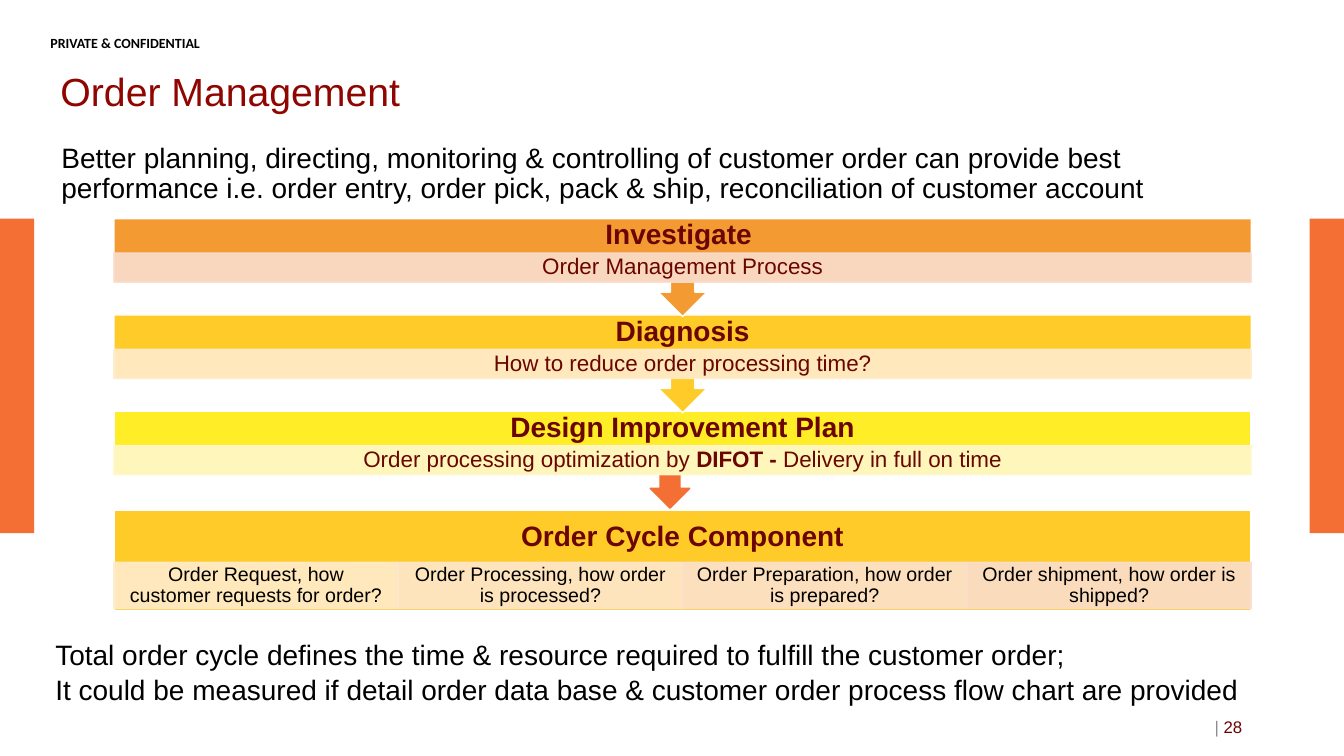
"""Build the Order Management process slide."""
from lxml import etree
from pptx import Presentation
from pptx.dml.color import RGBColor
from pptx.enum.shapes import MSO_SHAPE
from pptx.enum.text import MSO_ANCHOR, MSO_AUTO_SIZE, PP_ALIGN
from pptx.oxml.ns import qn
from pptx.util import Inches, Pt

RECTANGLE, DOWN_ARROW = MSO_SHAPE.RECTANGLE, MSO_SHAPE.DOWN_ARROW
ARROW_CALLOUT = MSO_SHAPE.UP_ARROW_CALLOUT
LEFT, CENTER, RIGHT = PP_ALIGN.LEFT, PP_ALIGN.CENTER, PP_ALIGN.RIGHT
TOP, MIDDLE = MSO_ANCHOR.TOP, MSO_ANCHOR.MIDDLE
NO_AUTOFIT = MSO_AUTO_SIZE.NONE

BLACK = RGBColor(0x00, 0x00, 0x00)
WHITE = RGBColor(0xFF, 0xFF, 0xFF)
GRAY = RGBColor(0x8C, 0x8C, 0x8C)
RED = RGBColor(0x8F, 0x05, 0x00)
MAROON = RGBColor(0x6A, 0x05, 0x00)
SIDE_ORANGE = RGBColor(0xF4, 0x6F, 0x33)
ARROW_ORANGE = RGBColor(0xF3, 0x6F, 0x33)
ORANGE = RGBColor(0xF3, 0x9A, 0x33)
AMBER = RGBColor(0xFF, 0xCB, 0x28)
YELLOW = RGBColor(0xFF, 0xED, 0x28)
PALE_ORANGE = RGBColor(0xFA, 0xDE, 0xCE)
PALE_PEACH = RGBColor(0xFC, 0xE2, 0xCD)
PALE_APRICOT = RGBColor(0xFE, 0xE7, 0xCD)
PALE_AMBER = RGBColor(0xFF, 0xEC, 0xCD)
PALE_YELLOW = RGBColor(0xFF, 0xF8, 0xCD)

FLOW_LEFT, FLOW_WIDTH = 1.13, 11.28

deck = Presentation()
deck.slide_width, deck.slide_height = Inches(13.33), Inches(7.5)
page = deck.slides.add_slide(deck.slide_layouts[5])


def add_block(kind, left, top, width, height, fill, line=None, opacity=100):
    block = page.shapes.add_shape(
        kind, Inches(left), Inches(top), Inches(width), Inches(height))
    block.shadow.inherit = False
    block.fill.solid()
    block.fill.fore_color.rgb = fill
    if line is None:
        block.line.fill.background()
    else:
        block.line.color.rgb = line
        block.line.width = Pt(1)
    if opacity < 100:
        for color in block._element.spPr.iter(qn("a:srgbClr")):
            etree.SubElement(color, qn("a:alpha"), val=str(opacity * 1000))
    return block


def add_text(text, left, top, width, height, size=20, color=BLACK, font="Arial",
             bold=False, align=LEFT, anchor=TOP, spacing=1.0,
             margins=(0.1, 0.05), wrap=True, box=None):
    """Write a string, or a list of (text, format) spans, into a box."""
    if box is None:
        box = page.shapes.add_textbox(0, 0, 0, 0)
    box.left, box.top = Inches(left), Inches(top)
    box.width, box.height = Inches(width), Inches(height)
    frame = box.text_frame
    frame.auto_size, frame.word_wrap = NO_AUTOFIT, wrap
    frame.vertical_anchor = anchor
    frame.margin_left = frame.margin_right = Inches(margins[0])
    frame.margin_top = frame.margin_bottom = Inches(margins[1])
    para = frame.paragraphs[0]
    para.alignment, para.line_spacing = align, spacing
    spans = [(text, {})] if isinstance(text, str) else text
    for words, style in spans:
        for number, line in enumerate(words.split("\n")):
            if number:
                para.add_line_break()
            span = para.add_run()
            span.text = line
            span.font.name, span.font.size = font, Pt(size)
            span.font.bold = style.get("bold", bold)
            span.font.color.rgb = style.get("color", color)


for left in (0, 12.99):
    add_block(RECTANGLE, left, 2.17, 0.34, 3.12, SIDE_ORANGE)
add_text("PRIVATE & CONFIDENTIAL", 0.5, 0.34, 2.53, 0.12, size=10,
         font="Calibri", bold=True, margins=(0, 0))
add_text("Order Management", 0.5, 0.58, 10.87, 0.71, size=28, color=RED,
         anchor=MIDDLE, spacing=0.9, box=page.shapes.title)
add_text("Better planning, directing, monitoring & controlling of customer order "
         "can provide best performance i.e. order entry, order pick, pack & ship, "
         "reconciliation of customer account",
         0.51, 1.38, 12.31, 0.79, spacing=0.9)

difot = [("Order processing optimization by ", {}), ("DIFOT - ", {"bold": True}),
         ("Delivery in full on time", {})]
steps = [
    ("Investigate ", "Order Management Process", ORANGE, PALE_ORANGE),
    ("Diagnosis", "How to reduce order processing time?", AMBER, PALE_AMBER),
    ("Design Improvement Plan", difot, YELLOW, PALE_YELLOW),
]
add_block(DOWN_ARROW, 6.45, 4.59, 0.39, 0.45, ARROW_ORANGE, ARROW_ORANGE)
for number, (heading, detail, fill, pale) in reversed(list(enumerate(steps))):
    top = 2.17 + number * 0.955
    is_last = number == len(steps) - 1
    kind, height = (RECTANGLE, 0.63) if is_last else (ARROW_CALLOUT, 0.97)
    step = add_block(kind, FLOW_LEFT, top, FLOW_WIDTH, height, fill, WHITE)
    step.rotation = 0 if is_last else 180
    add_text(heading, FLOW_LEFT, top, FLOW_WIDTH, 0.34, color=MAROON, bold=True,
             align=CENTER, anchor=MIDDLE, spacing=0.9, margins=(0.16, 0.16))
    add_block(RECTANGLE, FLOW_LEFT, top + 0.34, FLOW_WIDTH, 0.29, pale, pale, 90)
    add_text(detail, FLOW_LEFT, top + 0.34, FLOW_WIDTH, 0.29, size=16,
             color=MAROON, align=CENTER, anchor=MIDDLE, spacing=0.9,
             margins=(0.12, 0.02))

add_block(RECTANGLE, FLOW_LEFT, 5.06, FLOW_WIDTH, 1, AMBER, WHITE)
add_text("Order Cycle Component", FLOW_LEFT, 5.06, FLOW_WIDTH, 0.54, color=MAROON,
         bold=True, align=CENTER, anchor=MIDDLE, spacing=0.9, margins=(0.16, 0.16))
components = [
    ("Order Request, how customer requests for order?", PALE_AMBER),
    ("Order Processing, how order is processed?", PALE_APRICOT),
    ("Order Preparation, how order is prepared?", PALE_PEACH),
    ("Order shipment, how order is shipped?", PALE_ORANGE),
]
component_width = FLOW_WIDTH / len(components)
for column, (question, pale) in enumerate(components):
    left = FLOW_LEFT + column * component_width
    add_block(RECTANGLE, left, 5.58, component_width, 0.46, pale, pale, 90)
    add_text(question, left, 5.58, component_width, 0.46, size=14, align=CENTER,
             anchor=MIDDLE, spacing=0.9, margins=(0.11, 0.02))

add_text("Total order cycle defines the time & resource required to fulfill the "
         "customer order;\nIt could be measured if detail order data base & "
         "customer order process flow chart are provided",
         0.45, 6.26, 12.23, 0.77, spacing=1.05, wrap=False)
add_text([("| ", {"color": GRAY}), ("28", {})], 9.42, 7.01, 3, 0.4, size=12,
         color=MAROON, align=RIGHT, anchor=MIDDLE)

deck.save("out.pptx")
